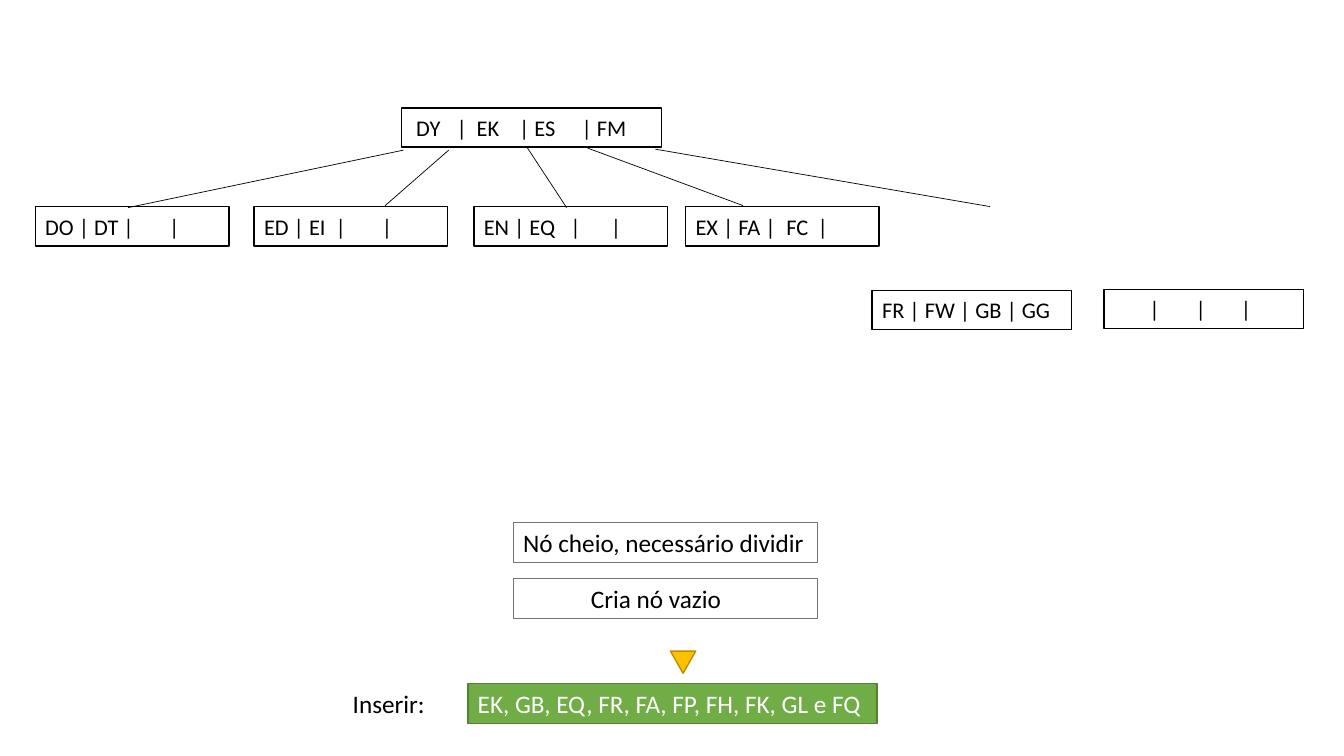
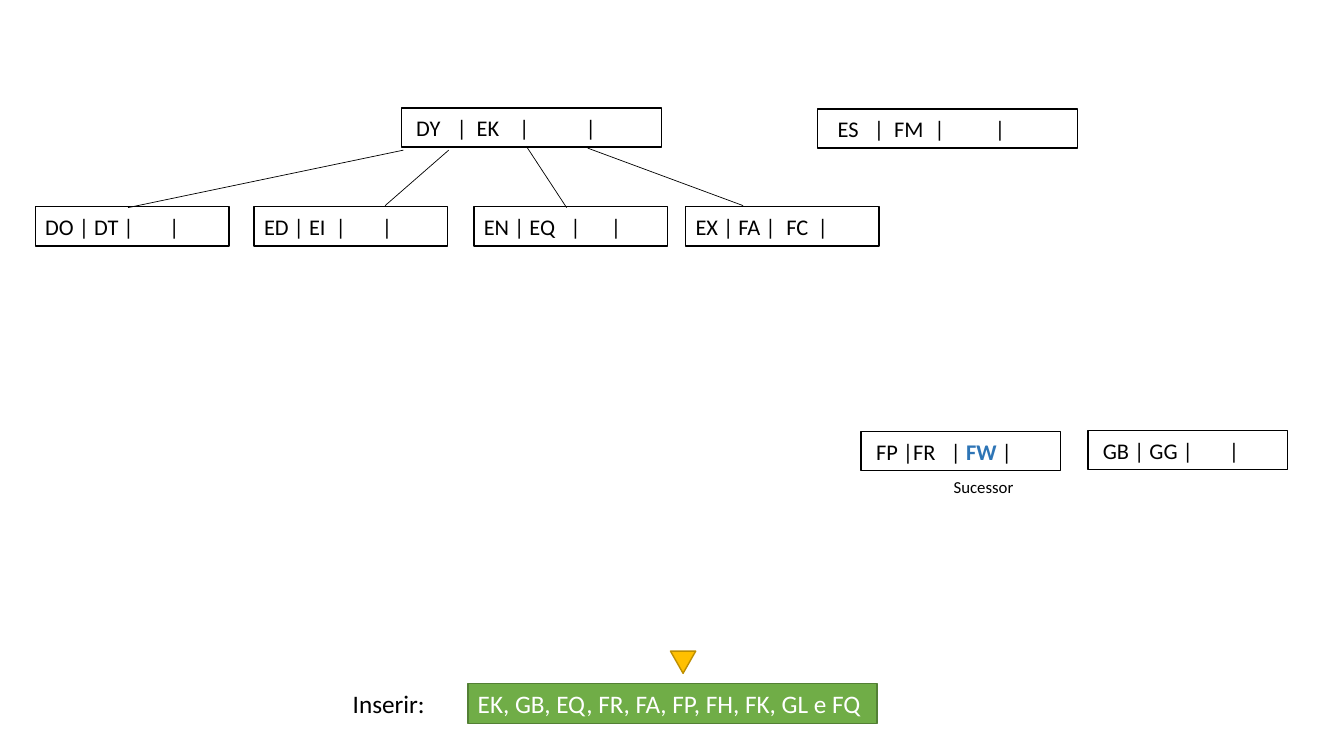
from lxml import etree
from pptx import Presentation
from pptx.dml.color import RGBColor
from pptx.enum.shapes import MSO_CONNECTOR, MSO_SHAPE
from pptx.enum.text import MSO_ANCHOR, PP_ALIGN
from pptx.oxml.ns import qn
from pptx.util import Inches, Pt

RECT = MSO_SHAPE.RECTANGLE
MERGE = MSO_SHAPE.FLOWCHART_MERGE
STRAIGHT = MSO_CONNECTOR.STRAIGHT
MIDDLE = MSO_ANCHOR.MIDDLE
LEFT = PP_ALIGN.LEFT

BLACK = RGBColor(0x00, 0x00, 0x00)
WHITE = RGBColor(0xFF, 0xFF, 0xFF)
GREEN = RGBColor(0x70, 0xAD, 0x47)
MOSS = RGBColor(0x53, 0x80, 0x35)
GOLD = RGBColor(0xFF, 0xC0, 0x00)
OCHRE = RGBColor(0xBD, 0x8E, 0x00)
GREY = RGBColor(0x76, 0x71, 0x71)
BLUE = RGBColor(0x2E, 0x75, 0xB6)
FONT = "Calibri"

ROOT, LEAF, SPLIT = 2.58, 1.92, 1.98  # node widths


def put(slide, text, x, y, w, h=0.39, size=16, color=BLACK, fill=None,
        line=None, width=1, tabs=(), inset=0.1, kind=RECT):
    """Add a box; text is a string or a list of (text, colour, bold)."""
    where = [Inches(v) for v in (x, y, w, h)]
    if line is None:
        box = slide.shapes.add_textbox(*where)
    else:
        box = slide.shapes.add_shape(kind, *where)
        box.shadow.inherit = False
        box.line.color.rgb = line
        box.line.width = Pt(width)
        if fill is None:
            box.fill.background()
        else:
            box.fill.solid()
            box.fill.fore_color.rgb = fill
    if not text:
        return
    frame = box.text_frame
    frame.word_wrap = True
    frame.vertical_anchor = MIDDLE
    frame.margin_left = Inches(inset)
    para = frame.paragraphs[0]
    para.alignment = LEFT
    if tabs:
        stops = etree.SubElement(para._p.get_or_add_pPr(), qn("a:tabLst"))
        for pos in tabs:
            etree.SubElement(stops, qn("a:tab"), pos=str(Inches(pos)), algn="l")
    parts = [(text, color, False)] if isinstance(text, str) else text
    for words, tint, bold in parts:
        run = para.add_run()
        run.text = words
        run.font.name = FONT
        run.font.size = Pt(size)
        run.font.bold = bold
        run.font.color.rgb = tint


# Parts found on every slide
leaves = [
    (0.35, "DO | DT |\t|", [1.23]),
    (2.52, "ED | EI\t|\t|", [0.71, 1.17]),
    (4.7, "EN | EQ\t|\t|", [0.86, 1.26]),
    (6.8, "EX | FA |\tFC\t|", [0.9, 1.21]),
]
links = [
    (4, 1.49, 1.27, 2.06),
    (4.45, 1.49, 3.82, 2.04),
    (5.22, 1.45, 5.62, 2.06),
    (5.83, 1.47, 7.37, 2.04),
]

# What differs: nodes as (x, y, width, text, tabs), extra links
pages = [
    ([
        (3.98, 1.07, ROOT, " DY\t|\tEK\t| ES\t| FM", [0.45, 0.65, 1.07, 1.69]),
        (8.65, 2.88, SPLIT, "FR | FW | GB | GG", []),
        (10.95, 2.87, SPLIT, "\t|\t|\t|", [0.35, 0.81, 1.26]),
    ], [(6.5, 1.48, 9.82, 2.05)]),
    ([
        (3.98, 1.07, ROOT, " DY\t|\tEK\t|\t|", [0.45, 0.65, 1.07, 1.73]),
        (8.11, 1.08, ROOT, "\tES\t|\tFM\t|\t|", [0.1, 0.46, 0.66, 1.06, 1.66]),
        (8.54, 4.28, SPLIT, [(" FP |FR\t| ", BLACK, False),
                             ("FW ", BLUE, True), ("|", BLACK, False)], [0.79]),
        (10.79, 4.27, SPLIT, " GB | GG |\t|", [1.3]),
    ], []),
]

deck = Presentation()
deck.slide_width, deck.slide_height = Inches(13.33), Inches(7.5)
slides = []

for nodes, extra in pages:
    slide = deck.slides.add_slide(deck.slide_layouts[6])
    slides.append(slide)

    # Tree nodes
    for x, y, w, text, tabs in nodes:
        put(slide, text, x, y, w, fill=WHITE, line=BLACK, tabs=tabs)
    for x, text, tabs in leaves:
        put(slide, text, x, 2.05, LEAF, fill=WHITE, line=BLACK, tabs=tabs)

    # Links from root to leaves
    for ends in links + extra:
        link = slide.shapes.add_connector(STRAIGHT, *[Inches(v) for v in ends])
        link.line.color.rgb = BLACK
        link.line.width = Pt(0.5)
        etree.SubElement(link._element.spPr, qn("a:effectLst"))

    # Insertion list and its marker
    put(slide, "Inserir:", 3.4, 6.78, 0.99, 0.4, size=18)
    put(slide, "EK, GB, EQ, FR, FA, FP, FH, FK, GL e FQ", 4.64, 6.78, 4.06, 0.4,
        size=18, color=WHITE, fill=GREEN, line=MOSS)
    put(slide, "", 6.65, 6.46, 0.25, 0.22, fill=GOLD, line=OCHRE, kind=MERGE)

# Steps on the first slide
first, second = slides
for y, text, inset in [(5.18, "Nó cheio, necessário dividir", 0.1),
                       (5.74, "Cria nó vazio", 0.77)]:
    put(first, text, 5.09, y, 3.02, 0.4, size=18, line=GREY, width=0.75,
        inset=inset)

# Label on the second slide
put(second, "Sucessor", 9.36, 4.68, 0.88, 0.3, size=12)

deck.save("out.pptx")
